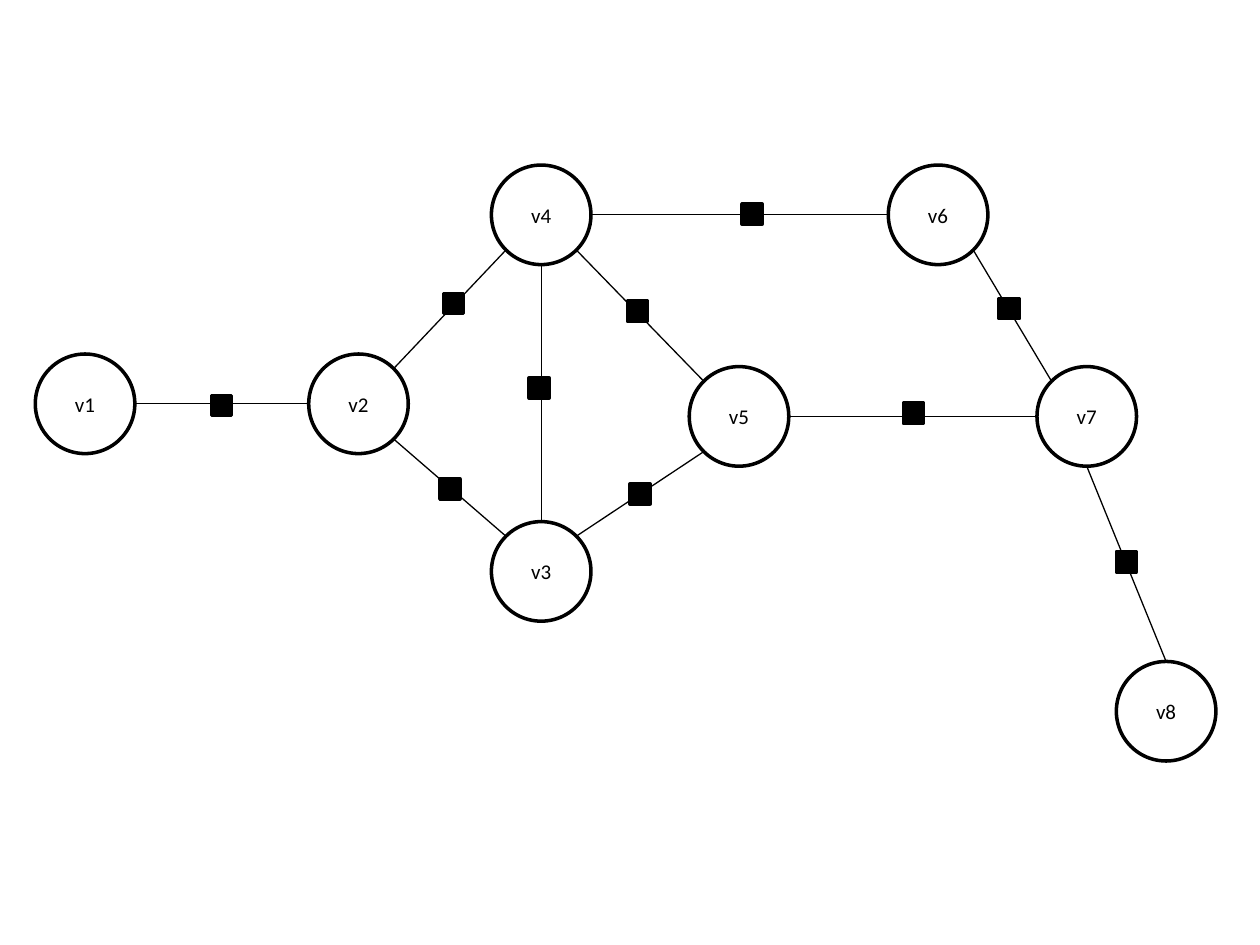
from math import cos, radians, sin

from pptx import Presentation
from pptx.dml.color import RGBColor
from pptx.enum.shapes import MSO_CONNECTOR, MSO_SHAPE
from pptx.enum.text import MSO_ANCHOR, PP_ALIGN
from pptx.oxml.ns import qn
from pptx.util import Inches, Pt
from lxml import etree

OVAL = MSO_SHAPE.OVAL
RECT = MSO_SHAPE.RECTANGLE
LINE = MSO_CONNECTOR.STRAIGHT
MIDDLE = MSO_ANCHOR.MIDDLE
CENTER = PP_ALIGN.CENTER
BLACK = RGBColor(0, 0, 0)
WHITE = RGBColor(255, 255, 255)

NODE = 0.79    # circle diameter
FACTOR = 0.16  # square side

# Top left corner of each circle
NODES = {
    "v1": (0.28, 2.81), "v2": (2.45, 2.81),
    "v4": (3.9, 1.31), "v3": (3.9, 4.14),
    "v5": (5.47, 2.91), "v6": (7.05, 1.31),
    "v7": (8.23, 2.91), "v8": (8.86, 5.25),
}

# Angles on the circle, clockwise from the right
E, SE, S, SW, W, NW, N, NE = range(0, 360, 45)

# Start and its side, end and its side, corner of the square
EDGES = [
    ("v1", E, "v2", W, (1.68, 3.14)),
    ("v2", NE, "v4", SW, (3.52, 2.33)),
    ("v2", SE, "v3", NW, (3.49, 3.8)),
    ("v4", SE, "v5", NW, (4.98, 2.39)),
    ("v4", S, "v3", N, (4.2, 3)),
    ("v3", NE, "v5", SW, (5, 3.84)),
    ("v4", E, "v6", W, (5.89, 1.62)),
    ("v6", SE, "v7", NW, (7.93, 2.37)),
    ("v5", E, "v7", W, (7.17, 3.2)),
    ("v7", S, "v8", N, (8.86, 4.38)),
]


def rim(name, angle):
    """Point on a circle's edge, in inches."""
    left, top = NODES[name]
    r, turn = NODE / 2, radians(angle)
    return left + r + r * cos(turn), top + r + r * sin(turn)


class Graph:
    font = "Calibri"
    size = Pt(12)
    thick = Pt(2)
    thin = Pt(0.75)

    def __init__(self, slide):
        self.shapes = slide.shapes

    def shape(self, kind, spot, side, fill):
        left, top = spot
        shape = self.shapes.add_shape(
            kind, Inches(left), Inches(top), Inches(side), Inches(side))
        shape.shadow.inherit = False
        shape.fill.solid()
        shape.fill.fore_color.rgb = fill
        shape.line.color.rgb = BLACK
        shape.line.width = self.thick
        return shape

    def node(self, name, spot):
        frame = self.shape(OVAL, spot, NODE, WHITE).text_frame
        frame.text = name
        frame.vertical_anchor = MIDDLE
        para = frame.paragraphs[0]
        para.alignment = CENTER
        font = para.runs[0].font
        font.name, font.size = self.font, self.size
        font.color.rgb = BLACK

    def factor(self, spot):
        self.shape(RECT, spot, FACTOR, BLACK)

    def edge(self, start, end):
        line = self.shapes.add_connector(
            LINE, *(Inches(v) for v in (*start, *end)))
        line.line.color.rgb = BLACK
        line.line.width = self.thin
        etree.SubElement(line._element.spPr, qn("a:effectLst"))


def main():
    deck = Presentation()
    deck.slide_width, deck.slide_height = Inches(10), Inches(7.5)
    graph = Graph(deck.slides.add_slide(deck.slide_layouts[6]))

    # Variable nodes
    for name, spot in NODES.items():
        graph.node(name, spot)

    # Factors and their edges
    for start, out, end, into, spot in EDGES:
        graph.factor(spot)
        graph.edge(rim(start, out), rim(end, into))

    deck.save("out.pptx")


if __name__ == "__main__":
    main()
